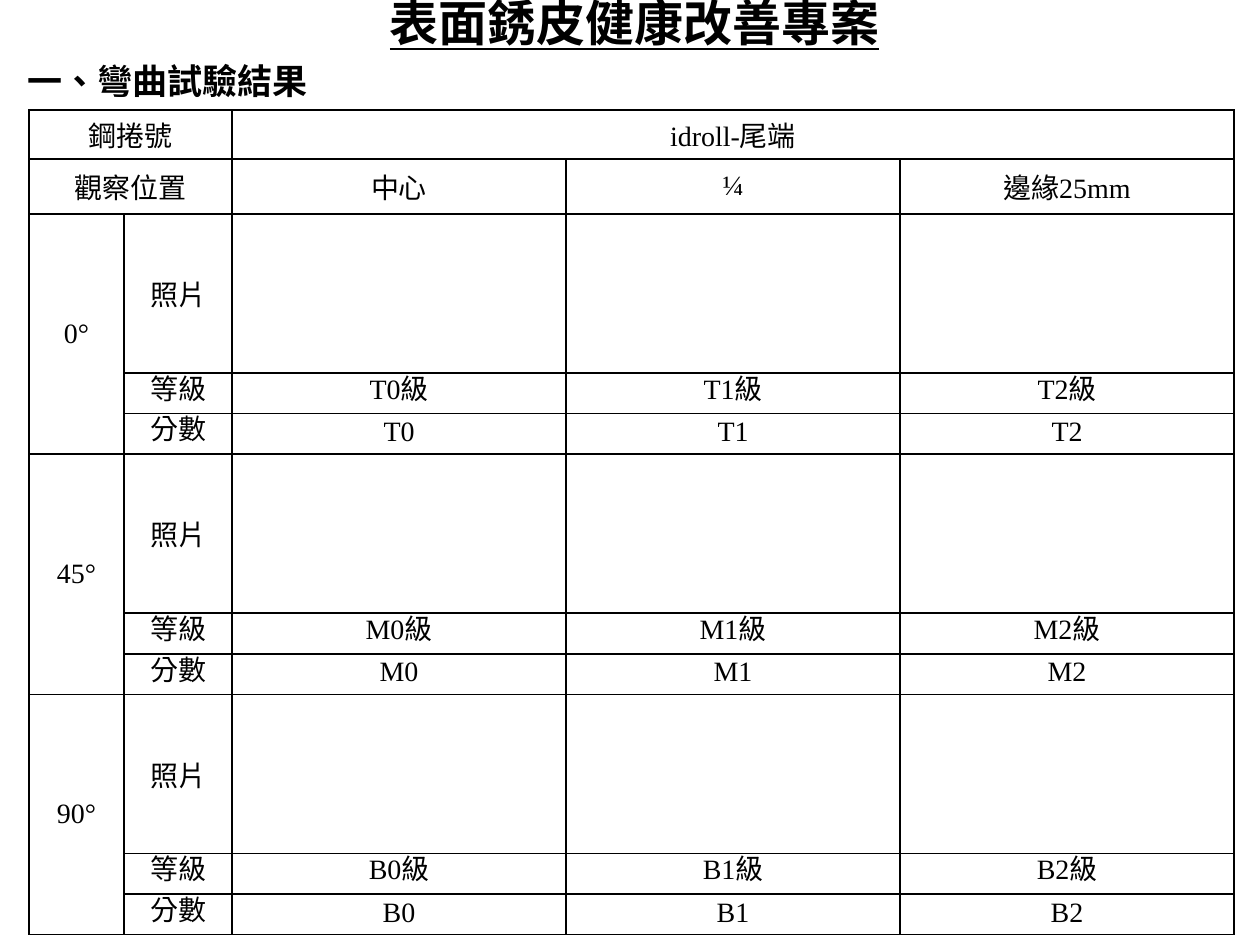
from dataclasses import dataclass

from lxml.etree import SubElement
from pptx import Presentation
from pptx.dml.color import RGBColor
from pptx.enum.lang import MSO_LANGUAGE_ID
from pptx.enum.text import MSO_ANCHOR, MSO_AUTO_SIZE, PP_ALIGN
from pptx.oxml.ns import qn
from pptx.util import Pt

EMU_PER_PX = 914400 / 126


@dataclass(frozen=True)
class Theme:
    ink: str = "000000"
    font: str = "Times New Roman"
    title: int = 28
    heading: int = 20
    body: int = 16
    border: int = 1


THEME = Theme()


def px(n):
    return round(n * EMU_PER_PX)


def write(tf, text, size=THEME.body, bold=False, underline=False,
          align=PP_ALIGN.CENTER, line=None, after=None, hanging=0):
    """Put one formatted paragraph into a text frame."""
    p = tf.paragraphs[0]
    p.alignment = align
    if line:
        p.line_spacing = Pt(line)
    if after is not None:
        p.space_after = Pt(after)
    if hanging:
        pPr = p._p.get_or_add_pPr()
        pPr.set("marL", str(px(hanging)))
        pPr.set("indent", str(-px(hanging)))
    r = p.add_run()
    r.text = text
    f = r.font
    f.name, f.size = THEME.font, Pt(size)
    f.bold, f.underline = bold, underline
    f.color.rgb = RGBColor.from_string(THEME.ink)
    f.language_id = MSO_LANGUAGE_ID.TRADITIONAL_CHINESE


def add_line(s, box, text, **fmt):
    """Add a one-line text box."""
    tf = s.shapes.add_textbox(*map(px, box)).text_frame
    tf.word_wrap = True
    tf.auto_size = MSO_AUTO_SIZE.SHAPE_TO_FIT_TEXT
    tf.vertical_anchor = MSO_ANCHOR.MIDDLE
    tf.margin_top = tf.margin_bottom = 0
    write(tf, text, **fmt)


def style_cell(cell):
    """Give a cell thin borders on all sides, no fill and middle anchoring."""
    tcPr = cell._tc.get_or_add_tcPr()
    for side in ("a:lnL", "a:lnR", "a:lnT", "a:lnB"):
        ln = SubElement(tcPr, qn(side), w=str(Pt(THEME.border)))
        fill = SubElement(ln, qn("a:solidFill"))
        SubElement(fill, qn("a:srgbClr"), val=THEME.ink)
    cell.fill.background()
    cell.vertical_anchor = MSO_ANCHOR.MIDDLE


def add_header_rows(table):
    table.cell(0, 0).merge(table.cell(0, 1))
    table.cell(0, 2).merge(table.cell(0, 4))
    table.cell(1, 0).merge(table.cell(1, 1))
    texts = {(0, 0): "鋼捲號", (0, 2): "idroll-尾端", (1, 0): "觀察位置",
             (1, 2): "中心", (1, 3): "¼", (1, 4): "邊緣25mm"}
    for (row, col), text in texts.items():
        cell = table.cell(row, col)
        cell.margin_top = cell.margin_bottom = 0
        write(cell.text_frame, text)


def add_angle_block(table, top, angle, code):
    """Fill the photo, grade and score rows of one bending angle."""
    table.cell(top, 0).merge(table.cell(top + 2, 0))
    write(table.cell(top, 0).text_frame, angle)
    write(table.cell(top, 1).text_frame, "照片")
    for row, label, suffix in ((top + 1, "等級", "級"), (top + 2, "分數", "")):
        texts = [label] + [f"{code}{i}{suffix}" for i in range(3)]
        for col, text in enumerate(texts, 1):
            write(table.cell(row, col).text_frame, text, line=THEME.body)


def add_results_table(s, box):
    angles = (("0°", "T"), ("45°", "M"), ("90°", "B"))
    widths = [95, 108] + [334] * 3
    heights = [49, 55] + [159, 38, 38] * len(angles)
    table = s.shapes.add_table(len(heights), len(widths), *map(px, box)).table
    table.first_row = table.horz_banding = False
    for col, w in zip(table.columns, widths):
        col.width = px(w)
    for row, h in zip(table.rows, heights):
        row.height = px(h)
    for cell in table.iter_cells():
        style_cell(cell)
    add_header_rows(table)
    for i, (angle, code) in enumerate(angles):
        add_angle_block(table, 2 + 3 * i, angle, code)


def main():
    prs = Presentation()
    prs.slide_width, prs.slide_height = px(1260), px(945)
    s = prs.slides.add_slide(prs.slide_layouts[6])
    add_line(s, (0, -14, 1269, 72), "表面銹皮健康改善專案",
             size=THEME.title, bold=True, underline=True)
    add_line(s, (15, 53, 1236, 55), "一、彎曲試驗結果", size=THEME.heading,
             bold=True, align=PP_ALIGN.JUSTIFY, after=10, hanging=60)
    add_results_table(s, (29, 110, 1205, 825))
    prs.save("out.pptx")


if __name__ == "__main__":
    main()
